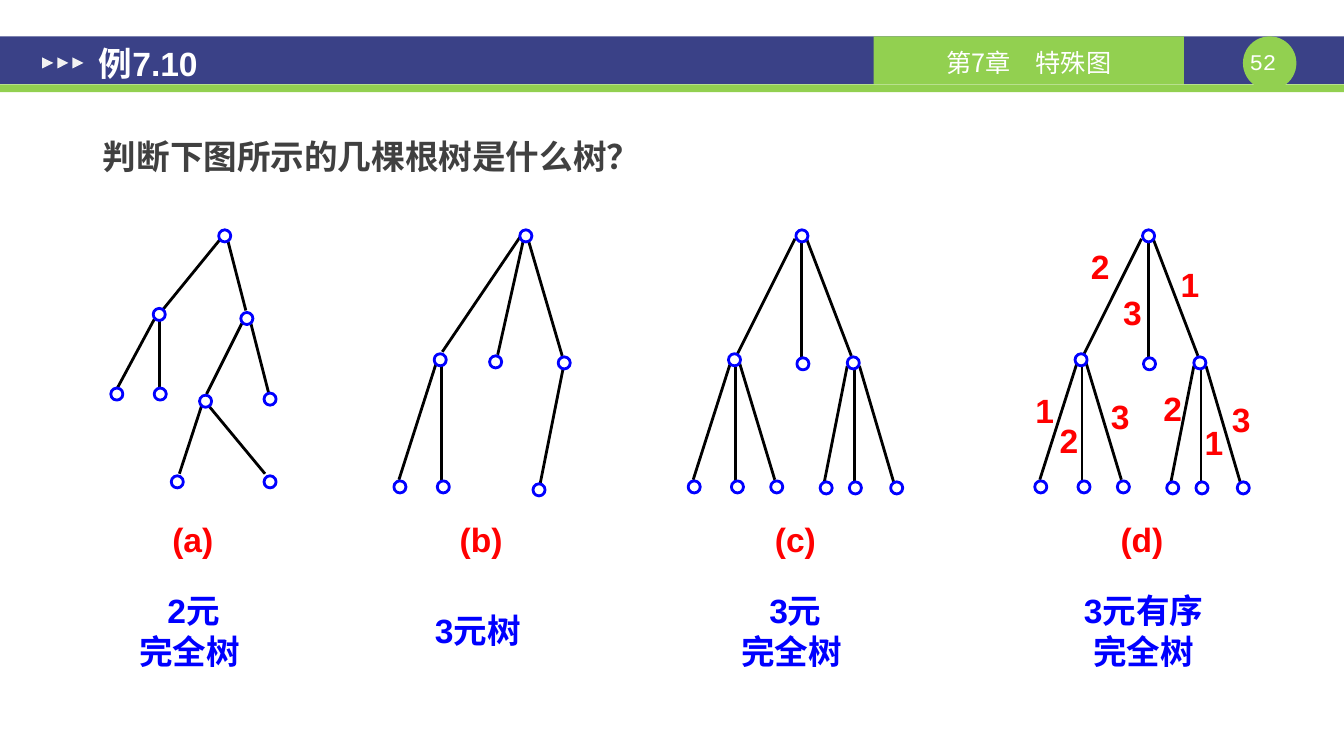
from dataclasses import dataclass, replace

from lxml.etree import SubElement
from pptx import Presentation
from pptx.dml.color import RGBColor
from pptx.enum.shapes import MSO_CONNECTOR, MSO_SHAPE
from pptx.enum.text import MSO_ANCHOR as ANCHOR, PP_ALIGN as ALIGN
from pptx.oxml.ns import qn
from pptx.slide import Slide
from pptx.util import Pt

COLORS = {"navy": "3A4187", "green": "92D050", "white": "FFFFFF", "pale": "F2F2F2",
          "gray": "404040", "blue": "0000FF", "red": "FF0000", "black": "000000"}
NODE = 8.64


@dataclass(frozen=True)
class Block:
    kind: MSO_SHAPE
    x: float
    y: float
    w: float
    h: float
    color: str
    line: str = ""
    rotation: float = 0


@dataclass(frozen=True)
class Label:
    text: str
    x: float
    y: float
    w: float
    h: float
    color: str
    size: float = 24
    font: str = "Arial"
    bold: bool = True
    align: ALIGN = ALIGN.CENTER
    anchor: ANCHOR = ANCHOR.TOP
    inset: tuple[float, float] = (0, 0)
    spacing: float = 1
    before: float = 0


@dataclass(frozen=True)
class Tree:
    nodes: tuple[tuple[float, float], ...]
    edges: tuple[tuple[float, float, float, float], ...]
    dx: float = 0


BANNER = (
    Block(MSO_SHAPE.RECTANGLE, 0, 26, 960.5, 34, "navy"),
    Block(MSO_SHAPE.RECTANGLE, 0, 60.2, 960.5, 5.6, "green"),
    Block(MSO_SHAPE.OVAL, 888.3, 26, 38.2, 38.2, "green"),
    Block(MSO_SHAPE.RECTANGLE, 624.3, 26, 221.8, 34, "green"),
    *(Block(MSO_SHAPE.ISOSCELES_TRIANGLE, 30.2 + 10.8 * i, 41, 7.9, 7.9, "pale", rotation=90)
      for i in range(3)),
)

HEADINGS = (
    Label("52 ", 888.3, 34.6, 38.2, 19.4, "white", 16, "Courier New", False),
    Label("第7章　特殊图", 624.3, 27.4, 221.8, 34, "white", 18, "Noto Sans CJK SC", False,
          anchor=ANCHOR.MIDDLE, inset=(7.2, 0)),
    Label("例7.10", 61.2, 28.1, 419.8, 33.8, "white", align=ALIGN.LEFT,
          anchor=ANCHOR.MIDDLE, inset=(9.4, 5)),
    Label("判断下图所示的几棵根树是什么树？", 64.1, 77.8, 733.7, 64.1, "gray",
          align=ALIGN.LEFT, inset=(9.4, 5), spacing=1.5, before=6),
)

TREE_A = Tree(
    nodes=((160.6, 168.5), (113.8, 224.6), (176.4, 227.5), (83.5, 281.5), (114.5, 281.5),
           (146.9, 286.6), (193, 285.1), (126.7, 344.2), (193, 344.2)),
    edges=((157, 171.4, 115.9, 221.8), (162.7, 171.4, 175.7, 221.8),
           (110.2, 228.2, 83.5, 277.9), (113.8, 228.2, 113.8, 277.9),
           (172.8, 231.1, 147.6, 281.5), (179.3, 231.1, 192.2, 281.5),
           (144.7, 288, 128.2, 338.4), (147.6, 288, 189.4, 338.4)),
)
TREE_B = Tree(
    nodes=((375.8, 168.5), (314.6, 257), (354.2, 258.5), (403.2, 259.2),
           (285.8, 347.8), (316.8, 347.8), (385.2, 349.9)),
    edges=((372.2, 168.5, 316.1, 251.3), (374.4, 169.9, 355.7, 253.4),
           (377.3, 170.6, 401.8, 254.2), (311.8, 259.2, 285.1, 342.7),
           (315.4, 259.2, 315.4, 342.7), (402.5, 262.8, 385.9, 346.3)),
)
TREE_C = Tree(
    nodes=((573.1, 168.5), (524.9, 257), (573.8, 259.9), (609.8, 259.2), (496.1, 347.8),
           (527, 347.8), (555.1, 347.8), (590.4, 348.5), (611.3, 348.5), (640.8, 348.5)),
    edges=((568.1, 170.6, 526.3, 254.2), (573.1, 172.8, 573.1, 256.3),
           (576.7, 171.4, 608.4, 254.2), (522, 259.2, 495.4, 342.7),
           (525.6, 262.1, 525.6, 345.6), (528.5, 259.2, 553.7, 342.7),
           (605.5, 261.4, 589, 344.9), (610.6, 262.8, 610.6, 346.3),
           (614.2, 261.4, 638.6, 344.2)),
)
TREES = (TREE_A, TREE_B, TREE_C, replace(TREE_C, dx=247.7))

CAPTIONS = tuple(Label(f"({letter})", x, 370.8, 49.7, 28.8, "red")
                 for letter, x in zip("abcd", (113, 319, 543.6, 791.3)))

ANSWERS = tuple(Label(text, x, 417.6, w, 65.5, "blue", anchor=ANCHOR.MIDDLE, inset=(7.2, 3.6))
                for text, x, w in (("2元\n完全树 ", 81.4, 113.8), ("3元树 ", 295.9, 96.5),
                                   ("3元\n完全树 ", 521.3, 94.3),
                                   ("3元有序\n完全树", 766.1, 102.2)))

EDGE_ORDERS = tuple(Label(text, x, y, 33.1, 28.8, "red") for text, x, y in (
    ("2", 769.7, 175.7), ("3", 792.7, 208.8), ("1", 833.8, 188.6),
    ("1", 730.1, 278.6), ("2", 747.4, 300.2), ("3", 784.1, 283),
    ("2", 821.5, 277.2), ("1", 851, 301.7), ("3", 870.5, 285.1)))


def rgb(name: str) -> RGBColor:
    return RGBColor.from_string(COLORS[name])


def draw_block(s: Slide, block: Block) -> None:
    sp = s.shapes.add_shape(block.kind, Pt(block.x), Pt(block.y), Pt(block.w), Pt(block.h))
    sp.shadow.inherit = False
    sp.rotation = block.rotation
    sp.fill.solid()
    sp.fill.fore_color.rgb = rgb(block.color)
    if block.line:
        sp.line.color.rgb = rgb(block.line)
        sp.line.width = Pt(2)
    else:
        sp.line.fill.background()


def draw_label(s: Slide, label: Label) -> None:
    sp = s.shapes.add_textbox(Pt(label.x), Pt(label.y), Pt(label.w), Pt(label.h))
    tf = sp.text_frame
    tf.word_wrap = True
    tf.vertical_anchor = label.anchor
    tf.margin_left = tf.margin_right = Pt(label.inset[0])
    tf.margin_top = tf.margin_bottom = Pt(label.inset[1])
    tf.text = label.text
    for p in tf.paragraphs:
        p.alignment = label.align
        p.line_spacing = label.spacing
        p.space_before = Pt(label.before)
        p.font.name = label.font
        p.font.size = Pt(label.size)
        p.font.bold = label.bold
        p.font.color.rgb = rgb(label.color)


def draw_tree(s: Slide, tree: Tree) -> None:
    for x1, y1, x2, y2 in tree.edges:
        edge = s.shapes.add_connector(MSO_CONNECTOR.STRAIGHT, Pt(x1 + tree.dx), Pt(y1),
                                      Pt(x2 + tree.dx), Pt(y2))
        edge.line.color.rgb = rgb("black")
        edge.line.width = Pt(2)
        SubElement(edge._element.spPr, qn("a:effectLst"))
    for x, y in tree.nodes:
        draw_block(s, Block(MSO_SHAPE.OVAL, x + tree.dx - NODE / 2, y - NODE / 2,
                            NODE, NODE, "white", "blue"))


def main() -> None:
    """Build the slide that classifies four rooted trees."""
    prs = Presentation()
    prs.slide_width, prs.slide_height = Pt(960.5), Pt(540)
    s = prs.slides.add_slide(prs.slide_layouts[6])
    for block in BANNER:
        draw_block(s, block)
    for tree in TREES:
        draw_tree(s, tree)
    for label in HEADINGS + CAPTIONS + ANSWERS + EDGE_ORDERS:
        draw_label(s, label)
    prs.save("out.pptx")


if __name__ == "__main__":
    main()
